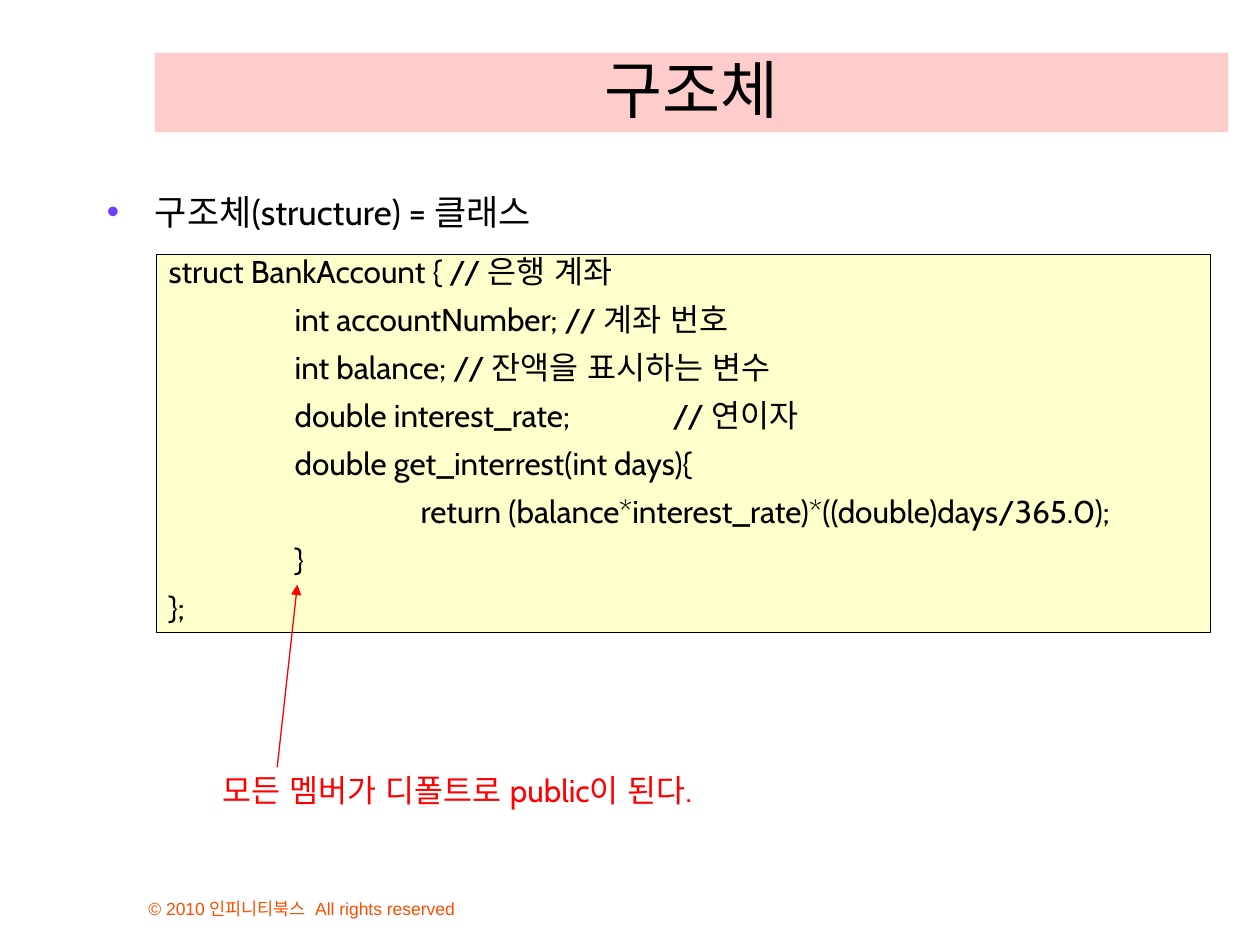
from lxml import etree
from pptx import Presentation
from pptx.dml.color import RGBColor
from pptx.enum.shapes import MSO_CONNECTOR, MSO_SHAPE
from pptx.enum.text import MSO_ANCHOR, PP_ALIGN
from pptx.oxml.ns import qn
from pptx.util import Inches, Pt

RECTANGLE = MSO_SHAPE.RECTANGLE
STRAIGHT = MSO_CONNECTOR.STRAIGHT
TOP, BOTTOM = MSO_ANCHOR.TOP, MSO_ANCHOR.BOTTOM
LEFT, CENTER = PP_ALIGN.LEFT, PP_ALIGN.CENTER

BLACK = RGBColor(0x00, 0x00, 0x00)
RED = RGBColor(0xFF, 0x00, 0x00)
ORANGE = RGBColor(0xFF, 0x4C, 0x00)
PINK = RGBColor(0xFF, 0xCC, 0xCC)
CREAM = RGBColor(0xFF, 0xFF, 0xCC)
PURPLE = RGBColor(0x70, 0x3D, 0xFF)

LATIN_FONT = "Cabin"
KOREAN_FONT = "Noto Sans CJK KR"
EAST_ASIAN_FONT = "Arial"

CODE_LINES = [
    ("struct BankAccount { // ", "은행 계좌"),
    ("\tint accountNumber; // ", "계좌 번호"),
    ("\tint balance; // ", "잔액을 표시하는 변수"),
    ("\tdouble interest_rate;\t// ", "연이자"),
    ("\tdouble get_interrest(int days){",),
    ("\t\treturn (balance*interest_rate)*((double)days/365.0);",),
    ("\t}",),
    ("};",),
]


def add_run(paragraph, text, size, color, font=LATIN_FONT):
    """Append a run with its Latin and East Asian fonts."""
    run = paragraph.add_run()
    run.text = text
    run.font.size = Pt(size)
    run.font.color.rgb = color
    run.font.name = font
    east_asian = etree.SubElement(run.font._element, qn("a:ea"))
    east_asian.set("typeface", EAST_ASIAN_FONT)


def add_tab_stops(paragraph, count):
    """Set left tab stops one inch apart."""
    properties = paragraph._p.get_or_add_pPr()
    tab_list = etree.SubElement(properties, qn("a:tabLst"))
    for position in range(1, count + 1):
        tab = etree.SubElement(tab_list, qn("a:tab"))
        tab.set("pos", str(Inches(position)))
        tab.set("algn", "l")


def add_text(slide, box, text, size, color, font=LATIN_FONT, anchor=TOP, wrap=True):
    """Add a one-paragraph text box and return its paragraph."""
    text_frame = slide.shapes.add_textbox(*map(Inches, box)).text_frame
    text_frame.word_wrap = wrap
    text_frame.vertical_anchor = anchor
    paragraph = text_frame.paragraphs[0]
    add_run(paragraph, text, size, color, font)
    return paragraph


def add_panel(slide, box, fill, anchor, line=None):
    """Add a filled rectangle and return its text frame."""
    shape = slide.shapes.add_shape(RECTANGLE, *map(Inches, box))
    shape.shadow.inherit = False
    shape.fill.solid()
    shape.fill.fore_color.rgb = fill
    if line is None:
        shape.line.fill.background()
    else:
        shape.line.color.rgb = line
        shape.line.width = Pt(0.75)
    shape.text_frame.word_wrap = True
    shape.text_frame.vertical_anchor = anchor
    return shape.text_frame


def add_title(slide, box):
    """Place the title band."""
    paragraph = add_panel(slide, box, PINK, BOTTOM).paragraphs[0]
    paragraph.alignment = CENTER
    add_run(paragraph, "구조체", 36, BLACK)


def add_bullet(slide, box):
    """Place the bulleted statement."""
    paragraph = add_text(slide, box, "구조체(structure) = 클래스", 20, BLACK)
    properties = paragraph._p.get_or_add_pPr()
    properties.set("marL", str(Inches(0.38)))
    properties.set("indent", str(-Inches(0.38)))
    bullet_color = etree.SubElement(properties, qn("a:buClr"))
    etree.SubElement(bullet_color, qn("a:srgbClr")).set("val", str(PURPLE))
    etree.SubElement(properties, qn("a:buFont")).set("typeface", "Arial")
    etree.SubElement(properties, qn("a:buChar")).set("char", "•")


def add_code(slide, box):
    """Place the code listing, with comments in the Korean font."""
    text_frame = add_panel(slide, box, CREAM, TOP, BLACK)
    for index, (code, *comments) in enumerate(CODE_LINES):
        paragraph = text_frame.add_paragraph() if index else text_frame.paragraphs[0]
        add_tab_stops(paragraph, 7)
        paragraph.alignment = LEFT
        paragraph.line_spacing = 0.75
        if index:
            paragraph.space_before = Pt(11.2)
        add_run(paragraph, code, 18, BLACK)
        for comment in comments:
            add_run(paragraph, comment, 18, BLACK, KOREAN_FONT)


def add_callout(slide, box, arrow):
    """Place the red remark and its arrow to the code."""
    add_text(slide, box, "모든 멤버가 디폴트로 public이 된다.", 18, RED, wrap=False)
    connector = slide.shapes.add_connector(STRAIGHT, *map(Inches, arrow))
    connector.line.color.rgb = RED
    connector.line.width = Pt(0.75)
    line = connector.line._get_or_add_ln()
    etree.SubElement(line, qn("a:tailEnd")).set("type", "triangle")
    etree.SubElement(connector._element.spPr, qn("a:effectLst"))


def add_footer(slide, box):
    """Place the copyright line."""
    text = "© 2010 인피니티북스  All rights reserved"
    add_text(slide, box, text, 10, ORANGE, "Arial", BOTTOM)


def main():
    """Build and save the slide."""
    presentation = Presentation()
    presentation.slide_width = Inches(10)
    presentation.slide_height = Inches(7.5)
    slide = presentation.slides.add_slide(presentation.slide_layouts[6])
    add_footer(slide, (1.08, 6.92, 3.83, 0.42))
    add_title(slide, (1.23, 0.42, 8.52, 0.63))
    add_bullet(slide, (0.75, 1.46, 8.98, 4.54))
    add_code(slide, (1.24, 2.02, 8.37, 3))
    add_callout(slide, (1.67, 6.07, 4.26, 0.4), (2.2, 6.09, 2.36, 4.64))
    presentation.save("out.pptx")


if __name__ == "__main__":
    main()
